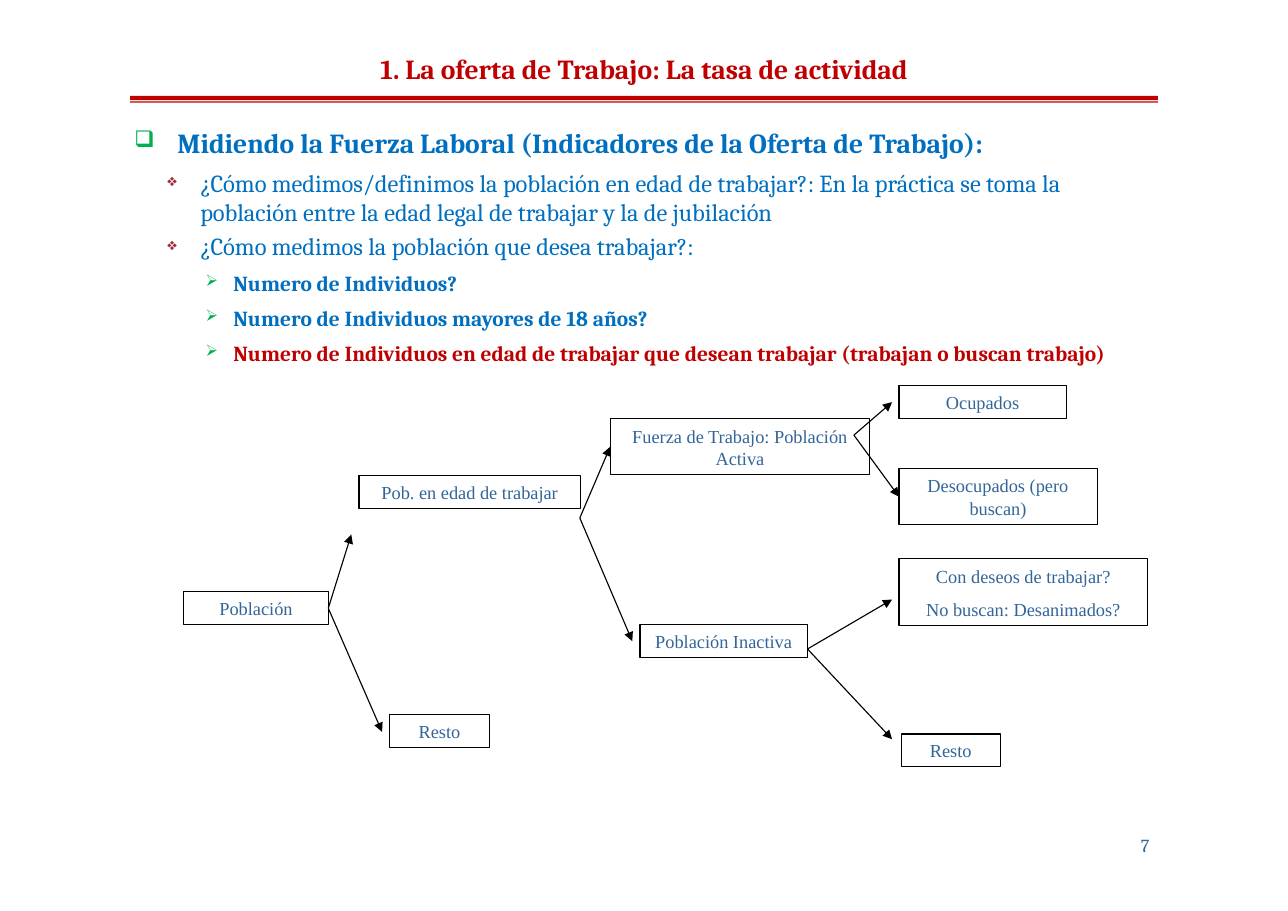
"""Build the slide on labour supply and the activity rate."""
from dataclasses import dataclass

from lxml import etree
from pptx import Presentation
from pptx import util as u
from pptx.dml.color import RGBColor
from pptx.enum import shapes, text
from pptx.oxml.ns import qn

COLOURS = {
    "title": "C00000", "rule": "BF0000", "blue": "006FC0", "label": "326599",
    "green": "00B04F", "maroon": "9F2835", "black": "000000",
}
SERIF, ROMAN = "Cambria", "Times New Roman"
RIGHT_SIDE, LEFT_SIDE = 3, 1


@dataclass
class Level:
    """Bullet and text format of one outline level."""
    margin: float
    hanging: float
    bullet: str
    bullet_colour: str
    bullet_percent: int
    size: int
    bold: bool


@dataclass
class Point:
    """One line of the outline."""
    level: int
    words: str
    before: float = 6
    colour: str = "blue"


@dataclass
class Node:
    """One labelled box of the tree."""
    key: str
    words: str
    left: float
    top: float
    width: float
    height: float = 0.76


@dataclass
class Arrow:
    """An arrow between two places, joined to boxes where they are named."""
    start: tuple[float, float]
    end: tuple[float, float]
    start_box: str = ""
    end_box: str = ""


LEVELS = [
    Level(1.02, 0.99, "❑", "green", 83, 18, True),
    Level(1.55, 0.76, "❖", "maroon", 69, 16, False),
    Level(2.31, 0.64, "➢", "green", 75, 14, True),
]
POINTS = [
    Point(0, "Midiendo la Fuerza Laboral (Indicadores de la Oferta de Trabajo):", 0),
    Point(1, "¿Cómo medimos/definimos la población en edad de trabajar?: En la práctica "
             "se toma la población entre la edad legal de trabajar y la de jubilación"),
    Point(1, "¿Cómo medimos la población que desea trabajar?:", 3),
    Point(2, "Numero de Individuos?"),
    Point(2, "Numero de Individuos mayores de 18 años?"),
    Point(2, "Numero de Individuos en edad de trabajar que desean trabajar "
             "(trabajan o buscan trabajo)", colour="title"),
]
NODES = [
    Node("población", "Población", 4.24, 13.64, 3.33),
    Node("edad", "Pob. en edad de trabajar", 8.28, 10.97, 5.11),
    Node("resto", "Resto", 8.99, 16.48, 2.29),
    Node("activa", "Fuerza de Trabajo: Población Activa", 14.07, 9.65, 5.99, 1.3),
    Node("inactiva", "Población Inactiva", 14.76, 14.4, 3.86),
    Node("ocupados", "Ocupados", 20.73, 8.89, 3.86),
    Node("desocupados", "Desocupados (pero buscan)", 20.73, 10.8, 4.57, 1.3),
    Node("deseos", "Con deseos de trabajar?\nNo buscan: Desanimados?", 20.73, 12.88, 5.74, 1.55),
    Node("resto inactivo", "Resto", 20.78, 16.92, 2.29),
]
ADULT_FORK, ACTIVE_FORK, INACTIVE_FORK = (13.37, 11.94), (19.69, 10.03), (18.62, 14.96)
ARROWS = [
    Arrow((7.57, 14.02), (8.1, 12.32), "población"),
    Arrow((7.57, 14.02), (8.81, 16.87), "población"),
    Arrow(ADULT_FORK, (14.07, 10.3), end_box="activa"),
    Arrow(ADULT_FORK, (14.58, 14.78)),
    Arrow(ACTIVE_FORK, (20.57, 9.27)),
    Arrow(ACTIVE_FORK, (20.73, 11.45), end_box="desocupados"),
    Arrow(INACTIVE_FORK, (20.57, 13.82)),
    Arrow(INACTIVE_FORK, (20.57, 17.04)),
]


def colour(name: str) -> RGBColor:
    """Return a named colour."""
    return RGBColor.from_string(COLOURS[name])


def apply(target, values: dict) -> None:
    """Set each named attribute on the target."""
    for name, value in values.items():
        setattr(target, name, value)


def place(box, left: float, top: float, width: float, height: float) -> None:
    """Move and size a box, in centimetres."""
    apply(box, {"left": u.Cm(left), "top": u.Cm(top),
                "width": u.Cm(width), "height": u.Cm(height)})


def set_frame(frame, anchor, side: float = 0, top: float = 0) -> None:
    """Set wrapping, anchoring and margins of a text frame."""
    apply(frame, {"word_wrap": True, "auto_size": text.MSO_AUTO_SIZE.NONE,
                  "vertical_anchor": anchor, "margin_left": u.Cm(side),
                  "margin_right": u.Cm(side), "margin_top": u.Cm(top), "margin_bottom": 0})


def write(para, words: str, font: str, size: int, tint: str, bold: bool = False) -> None:
    """Add one formatted span to a paragraph."""
    span = para.add_run()
    span.text = words
    apply(span.font, {"name": font, "size": u.Pt(size), "bold": bold})
    span.font.color.rgb = colour(tint)


def add_bullet(para, level: Level) -> None:
    """Give a paragraph its hanging indent and bullet."""
    props = para._p.get_or_add_pPr()
    props.set("marL", str(u.Cm(level.margin)))
    props.set("indent", str(-u.Cm(level.hanging)))
    tint = etree.SubElement(props, qn("a:buClr"))
    etree.SubElement(tint, qn("a:srgbClr"), val=COLOURS[level.bullet_colour])
    etree.SubElement(props, qn("a:buSzPct"), val=str(level.bullet_percent * 1000))
    etree.SubElement(props, qn("a:buChar"), char=level.bullet)


def add_title(page) -> None:
    """Format the title and draw the double rule below it."""
    title = page.shapes.title
    place(title, 8.53, 1.17, 12.65, 0.84)
    set_frame(title.text_frame, text.MSO_ANCHOR.TOP, top=0.03)
    para = title.text_frame.paragraphs[0]
    para.alignment = text.PP_ALIGN.CENTER
    write(para, "1. La oferta de Trabajo: La tasa de actividad", SERIF, 18, "title", True)
    for top, height in ((2.21, 0.1), (2.34, 0.03)):
        rule = page.shapes.add_shape(shapes.MSO_SHAPE.RECTANGLE, u.Cm(3), u.Cm(top),
                                     u.Cm(23.7), u.Cm(height))
        rule.shadow.inherit = False
        rule.fill.solid()
        rule.fill.fore_color.rgb = colour("rule")
        rule.line.fill.background()


def add_outline(page) -> None:
    """Write the bulleted outline."""
    box = page.shapes.add_textbox(u.Cm(3.07), u.Cm(2.62), u.Cm(22.91), u.Cm(5.84))
    set_frame(box.text_frame, text.MSO_ANCHOR.TOP, top=0.28)
    for index, point in enumerate(POINTS):
        para = box.text_frame.add_paragraph() if index else box.text_frame.paragraphs[0]
        level = LEVELS[point.level]
        add_bullet(para, level)
        apply(para, {"level": point.level, "space_before": u.Pt(point.before)})
        write(para, point.words, SERIF, level.size, point.colour, level.bold)


def add_node(page, node: Node):
    """Draw one box of the tree and return it."""
    box = page.shapes.add_shape(shapes.MSO_SHAPE.RECTANGLE, u.Cm(node.left), u.Cm(node.top),
                                u.Cm(node.width), u.Cm(node.height))
    box.shadow.inherit = False
    box.fill.background()
    box.line.color.rgb = colour("black")
    box.line.width = u.Pt(0.75)
    set_frame(box.text_frame, text.MSO_ANCHOR.MIDDLE, side=0.2)
    for index, words in enumerate(node.words.split("\n")):
        para = box.text_frame.add_paragraph() if index else box.text_frame.paragraphs[0]
        apply(para, {"alignment": text.PP_ALIGN.CENTER, "space_before": u.Pt(7.2 * index)})
        write(para, words, ROMAN, 12, "label")
    return box


def add_arrow(page, arrow: Arrow, boxes: dict) -> None:
    """Draw one arrow and join it to its boxes."""
    line = page.shapes.add_connector(shapes.MSO_CONNECTOR.STRAIGHT,
                                     *map(u.Cm, arrow.start + arrow.end))
    if arrow.start_box:
        line.begin_connect(boxes[arrow.start_box], RIGHT_SIDE)
    if arrow.end_box:
        line.end_connect(boxes[arrow.end_box], LEFT_SIDE)
    line.line.color.rgb = colour("black")
    line.line.width = u.Pt(0.75)
    etree.SubElement(line.line._get_or_add_ln(), qn("a:tailEnd"), type="triangle")
    etree.SubElement(line._element.spPr, qn("a:effectLst"))


def main() -> None:
    """Build and save the deck."""
    deck = Presentation()
    apply(deck, {"slide_width": u.Cm(29.7), "slide_height": u.Cm(21)})
    page = deck.slides.add_slide(deck.slide_layouts[5])
    add_title(page)
    add_outline(page)
    boxes = {node.key: add_node(page, node) for node in NODES}
    for arrow in ARROWS:
        add_arrow(page, arrow, boxes)
    number = page.shapes.add_textbox(u.Cm(26.21), u.Cm(19.2), u.Cm(0.69), u.Cm(0.56))
    set_frame(number.text_frame, text.MSO_ANCHOR.TOP, side=0.1, top=0.03)
    write(number.text_frame.paragraphs[0], "7", SERIF, 12, "label")
    deck.save("out.pptx")


if __name__ == "__main__":
    main()
